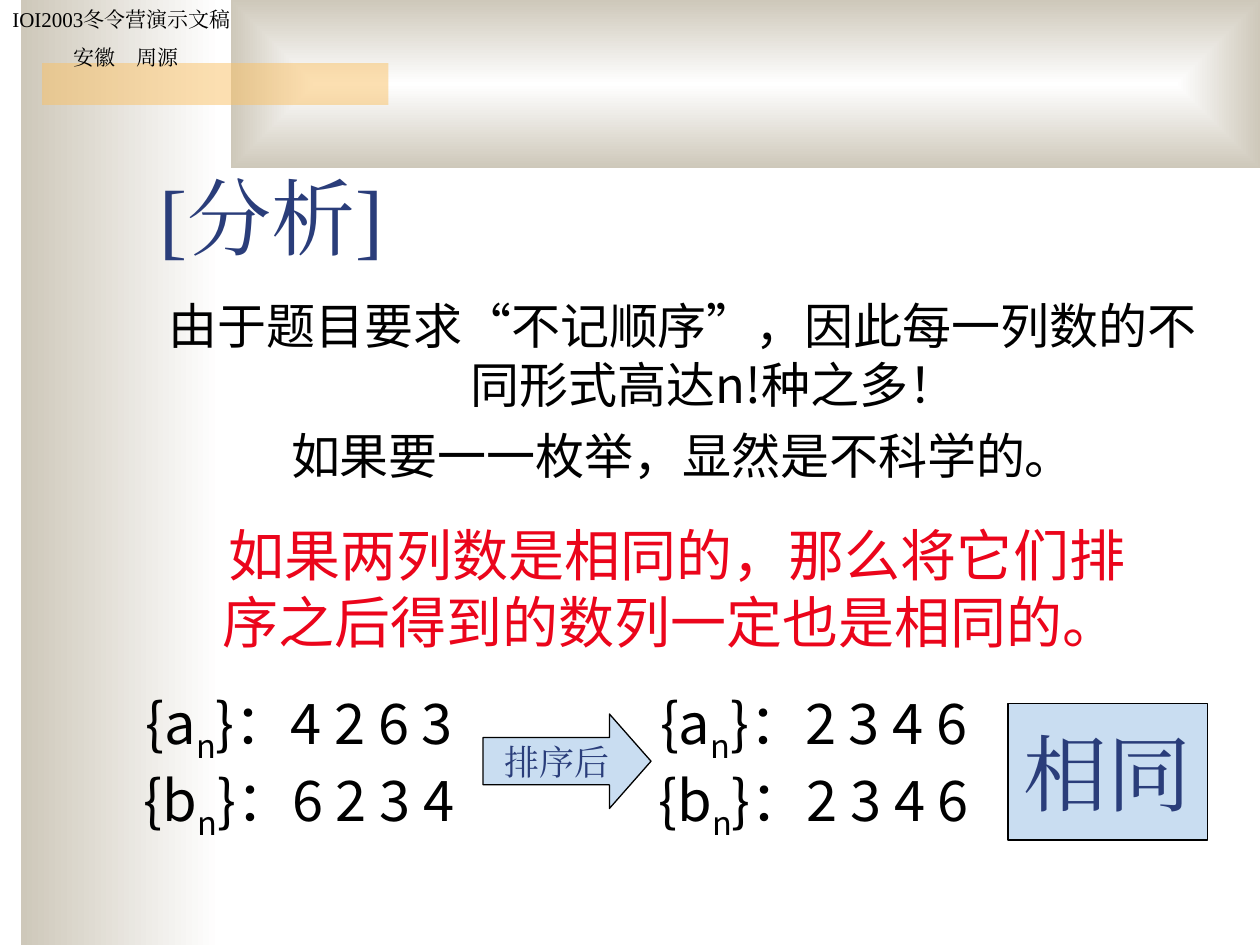
"""Build the slide explaining why equal number sequences match after sorting."""
import lxml.etree
import pptx
import pptx.dml.color
import pptx.enum.shapes
import pptx.enum.text
import pptx.oxml.ns
import pptx.util

Pt = pptx.util.Pt
Kind = pptx.enum.shapes.MSO_SHAPE
Align = pptx.enum.text.PP_ALIGN
Anchor = pptx.enum.text.MSO_ANCHOR
Fit = pptx.enum.text.MSO_AUTO_SIZE
qn = pptx.oxml.ns.qn

HEADER = ["IOI2003冬令营演示文稿", "安徽\u3000周源".replace("\u3000", "　")]
TITLE = "[分析]"
BODY = ["由于题目要求“不记顺序”，因此每一列数的不同形式高达n!种之多！",
        "如果要一一枚举，显然是不科学的。"]
CLAIM = "如果两列数是相同的，那么将它们排序之后得到的数列一定也是相同的。 "
ARROW = "排序后"
RESULT = "相同"
UNSORTED = [("a", "4 2 6 3"), ("b", "6 2 3 4")]
SORTED = [("a", "2 3 4 6"), ("b", "2 3 4 6")]

THEME = {
    "serif": "Times New Roman", "sans": "Noto Sans CJK SC",
    "white": "FFFFFF", "stone": "CEC8BA", "amber": "FAC164",
    "navy": "2A3D7A", "black": "000000", "red": "EB051B", "sky": "C9DDF1",
    "title": 48, "large": 32, "body": 28, "label": 20, "small": 12,
}
SEQUENCE_TOP, SEQUENCE_STEP = 390, 44


def color(name):
    return pptx.dml.color.RGBColor.from_string(THEME[name])


def place(shape, left, top, width, height):
    shape.left, shape.top, shape.width, shape.height = map(Pt, (left, top, width, height))


def style(frame, font, size, ink, align, before=0):
    for para in frame.paragraphs:
        para.alignment = align
        para.space_before = Pt(before)
        for span in para.runs:
            span.font.name = THEME[font]
            span.font.size = Pt(THEME[size])
            span.font.color.rgb = color(ink)
            east = lxml.etree.Element(qn("a:ea"), typeface=THEME[font])
            span.font._element.find(qn("a:latin")).addnext(east)


def add_box(shapes, lines, area, *look):
    box = shapes.add_textbox(*map(Pt, area))
    frame = box.text_frame
    frame.word_wrap = True
    frame.auto_size = Fit.SHAPE_TO_FIT_TEXT
    frame.text = "\n".join(lines)
    style(frame, *look)
    return box


def add_panel(page, kind, area, fill, outlined=False):
    panel = page.shapes.add_shape(kind, *map(Pt, area))
    panel.shadow.inherit = False
    panel.fill.solid()
    panel.fill.fore_color.rgb = color(fill)
    if outlined:
        panel.line.color.rgb = color("black")
        panel.line.width = Pt(0.75)
    else:
        panel.line.fill.background()
    return panel


def add_gradient(panel, direction):
    solid = panel.element.spPr.find(qn("a:solidFill"))
    gradient = lxml.etree.Element(qn("a:gradFill"), rotWithShape="1")
    stops = lxml.etree.SubElement(gradient, qn("a:gsLst"))
    for position, name in (("0", "white"), ("100000", "stone")):
        stop = lxml.etree.SubElement(stops, qn("a:gs"), pos=position)
        lxml.etree.SubElement(stop, qn("a:srgbClr"), val=THEME[name])
    if direction == "left":
        lxml.etree.SubElement(gradient, qn("a:lin"), ang="10800000", scaled="0")
    else:
        outward = lxml.etree.SubElement(gradient, qn("a:path"), path="rect")
        sides = dict.fromkeys("ltrb", "50000")
        lxml.etree.SubElement(outward, qn("a:fillToRect"), **sides)
    solid.getparent().replace(solid, gradient)


def add_label(panel, text, size):
    frame = panel.text_frame
    frame.word_wrap = False
    frame.vertical_anchor = Anchor.MIDDLE
    frame.text = text
    style(frame, "serif", size, "navy", Align.CENTER)


def add_sequences(page, rows, left):
    group = page.shapes.add_group_shape()
    for index, (name, values) in enumerate(rows):
        area = (left, SEQUENCE_TOP + index * SEQUENCE_STEP, 222, 51)
        box = add_box(group.shapes, [], area, "sans", "large", "black", Align.CENTER)
        para = box.text_frame.paragraphs[0]
        for text in ("{" + name, "n", "}：" + values):
            para.add_run().text = text
        style(box.text_frame, "sans", "large", "black", Align.CENTER, 20)
        para.runs[1].font._element.set("baseline", "-25000")


def add_backdrop(page):
    strip = add_panel(page, Kind.RECTANGLE, (12, 0, 114, 540), "stone")
    add_gradient(strip, "left")
    banner = add_panel(page, Kind.RECTANGLE, (132, 0, 588, 96), "stone")
    add_gradient(banner, "outward")
    bar = add_panel(page, Kind.RECTANGLE, (24, 36, 198, 24), "amber")
    tint = bar.element.spPr.find(qn("a:solidFill"))[0]
    lxml.etree.SubElement(tint, qn("a:alpha"), val="50000")
    header = add_box(page.shapes, HEADER, (0, 0, 144, 44),
                     "serif", "small", "black", Align.LEFT, 7.5)
    header.text_frame.paragraphs[1].alignment = Align.CENTER


def fill_placeholders(page):
    title, body = page.shapes.title, page.placeholders[1]
    for holder in (title, body):
        page.shapes.element.append(holder.element)
        holder.text_frame.word_wrap = True
        holder.text_frame.auto_size = Fit.NONE
    place(title, 84, 66, 612, 90)
    title.text_frame.vertical_anchor = Anchor.BOTTOM
    title.text_frame.text = TITLE
    style(title.text_frame, "serif", "title", "navy", Align.LEFT)
    place(body, 84, 165.5, 612, 122.5)
    body.text_frame.vertical_anchor = Anchor.TOP
    body.text_frame.text = "\n".join(BODY)
    style(body.text_frame, "sans", "body", "black", Align.CENTER, 7)
    for para in body.text_frame.paragraphs:
        props = para._p.get_or_add_pPr()
        props.set("marL", str(Pt(36)))
        props.set("indent", str(Pt(-36)))
        lxml.etree.SubElement(props, qn("a:buNone"))


def main():
    deck = pptx.Presentation()
    deck.slide_width, deck.slide_height = Pt(720), Pt(540)
    page = deck.slides.add_slide(deck.slide_layouts[1])
    add_backdrop(page)
    fill_placeholders(page)
    add_box(page.shapes, [CLAIM], (108, 294, 558, 84),
            "sans", "large", "red", Align.CENTER, 20)
    add_sequences(page, UNSORTED, 60)
    arrow = add_panel(page, Kind.RIGHT_ARROW, (276, 408, 96, 54), "sky", True)
    arrow.adjustments[1] = 0.44
    add_label(arrow, ARROW, "label")
    add_sequences(page, SORTED, 354)
    result = add_panel(page, Kind.RECTANGLE, (576, 402, 114, 78), "sky", True)
    add_label(result, RESULT, "title")
    deck.save("out.pptx")


if __name__ == "__main__":
    main()
